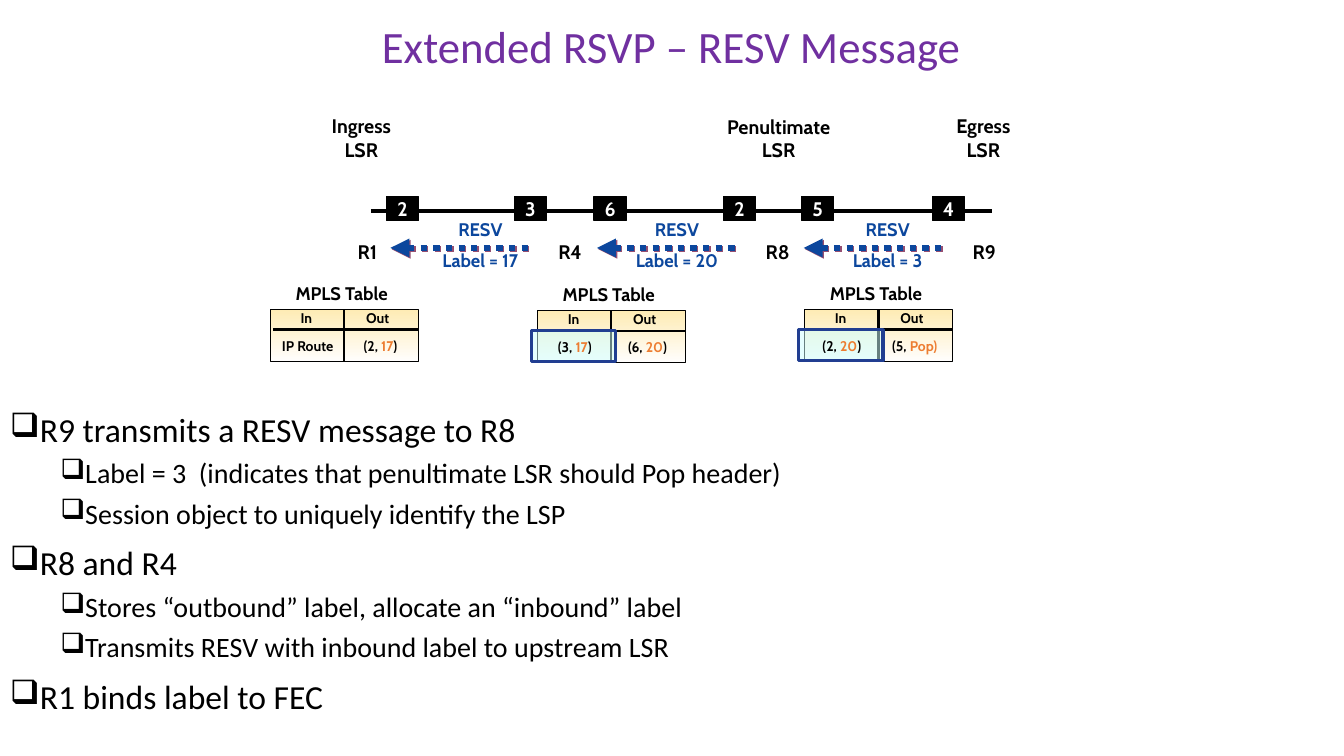
from dataclasses import dataclass

from lxml.etree import SubElement
from pptx import Presentation
from pptx.dml.color import RGBColor
from pptx.enum.dml import MSO_LINE
from pptx.enum.shapes import MSO_CONNECTOR, MSO_SHAPE
from pptx.enum.text import MSO_ANCHOR, MSO_AUTO_SIZE, PP_ALIGN
from pptx.oxml.ns import qn
from pptx.util import Pt

BLACK, WHITE, BLUE, ORANGE = "000000", "FFFFFF", "0C479D", "ED7D31"
Part = tuple[str, str]  # text, colour


@dataclass
class Label:
    lines: list[str]
    mid: float
    top: float
    width: float


@dataclass
class Hop:
    ports: tuple[str, str]
    tag: str
    mid: float


@dataclass
class Table:
    top: float
    left: list[Part]
    right: list[Part]
    marked: bool


ROLES = [
    Label(["Ingress", "LSR"], 258.1, 77.8, 68.4),
    Label(["Penultimate", "LSR"], 556.2, 78.5, 101.5),
    Label(["Egress", "LSR"], 702.4, 77.8, 61.2),
]
NODES = [("R1", 262.4), ("R4", 407.2), ("R8", 555.5), ("R9", 703.1)]
HOPS = [
    Hop(("2", "3"), "Label = 17", 343.1),
    Hop(("6", "2"), "Label = 20", 483.5),
    Hop(("5", "4"), "Label = 3", 634),
]
TABLES = [
    Table(221, [("IP Route", BLACK)],
          [("(2,", BLACK), (" 17", ORANGE), (")", BLACK)], False),
    Table(221.8, [("(3, ", BLACK), ("17", ORANGE), (")", BLACK)],
          [("(6,", BLACK), (" 20", ORANGE), (")", BLACK)], True),
    Table(221, [("(2, ", BLACK), ("20", ORANGE), (")", BLACK)],
          [("(5,", BLACK), (" Pop)", ORANGE)], True),
]
POINTS = [
    (0, "R9 transmits a RESV message to R8"),
    (1, "Label = 3  (indicates that penultimate LSR should Pop header)"),
    (1, "Session object to uniquely identify the LSP"),
    (0, "R8 and R4"),
    (1, "Stores “outbound” label, allocate an “inbound” label"),
    (1, "Transmits RESV with inbound label to upstream LSR"),
    (0, "R1 binds label to FEC"),
]

deck = Presentation()
deck.slide_width, deck.slide_height = Pt(960), Pt(540)
slide = deck.slides.add_slide(deck.slide_layouts[6])
shapes = slide.shapes


def rgb(code: str) -> RGBColor:
    return RGBColor.from_string(code)


def style(font, size: float, face: str = "Cabin", bold: bool = True) -> None:
    font.size, font.name, font.bold = Pt(size), face, bold


def frame(x: float, y: float, w: float, h: float, wrap: bool = True):
    text = shapes.add_textbox(Pt(x), Pt(y), Pt(w), Pt(h)).text_frame
    text.word_wrap = wrap
    return text


def label(rows: list[list[Part]], mid: float, top: float, width: float,
          size: float, gap: float = 0) -> None:
    high = len(rows) * size * 1.2 + 7.2 + gap
    text = frame(mid - width / 2, top, width, high, wrap=False)
    text.auto_size = MSO_AUTO_SIZE.SHAPE_TO_FIT_TEXT
    for i, parts in enumerate(rows):
        para = text.add_paragraph() if i else text.paragraphs[0]
        para.alignment = PP_ALIGN.CENTER
        if i and gap:
            para.space_before = Pt(gap)
        style(para.font, size)
        if len(parts) == 1:
            para.font.color.rgb = rgb(parts[0][1])
        for words, tint in parts:
            run = para.add_run()
            run.text = words
            if len(parts) > 1:
                run.font.color.rgb = rgb(tint)


def box(x: float, y: float, w: float, h: float, edge: str, weight: float):
    shape = shapes.add_shape(MSO_SHAPE.RECTANGLE, Pt(x), Pt(y), Pt(w), Pt(h))
    shape.shadow.inherit = False
    shape.line.color.rgb = rgb(edge)
    shape.line.width = Pt(weight)
    return shape


def line(x1: float, y1: float, x2: float, y2: float, weight: float,
         tint: str = BLACK):
    link = shapes.add_connector(MSO_CONNECTOR.STRAIGHT,
                                Pt(x1), Pt(y1), Pt(x2), Pt(y2))
    link.line.color.rgb = rgb(tint)
    link.line.width = Pt(weight)
    fx = SubElement(link._element.spPr, qn("a:effectLst"))
    return link, fx


def port(digit: str, x: float) -> None:
    shape = box(x, 140.4, 23, 17.3, BLACK, 0.75)
    shape.fill.solid()
    shape.fill.fore_color.rgb = rgb(BLACK)
    text = shape.text_frame
    text.margin_left = text.margin_right = Pt(0)
    text.margin_top = text.margin_bottom = Pt(0)
    text.vertical_anchor = MSO_ANCHOR.MIDDLE
    para = text.paragraphs[0]
    para.text = digit
    para.alignment = PP_ALIGN.CENTER
    style(para.font, 14)
    para.font.color.rgb = rgb(WHITE)


def arrow(x: float) -> None:
    link, fx = line(x, 177.1, x + 101, 177.1, 4.5, BLUE)
    link.line.dash_style = MSO_LINE.ROUND_DOT
    SubElement(link.line._get_or_add_ln(), qn("a:headEnd"), type="triangle")
    shade = SubElement(fx, qn("a:outerShdw"), dist=str(Pt(1.4)), dir="2700000")
    SubElement(shade, qn("a:srgbClr"), val="954F72")


def table(item: Table, x: float) -> None:
    y = item.top
    grid = box(x, y, 105.8, 37.4, BLACK, 0.75)
    grid.fill.gradient()
    grid.fill.gradient_angle = 270
    for stop, tint, place in zip(grid.fill.gradient_stops,
                                 ("FEEBB4", "FFFEFD"), (0, 1)):
        stop.color.rgb, stop.position = rgb(tint), place
    label([[("MPLS Table", BLACK)]], x + 51, y - 23, 90, 13)
    line(x + 105.8, y + 14.4, x + 2.2, y + 14.4, 1.5)
    split, _ = line(x + 52.9, y, x + 52.9, y + 37.4, 1.5)
    split.begin_connect(grid, 0)
    split.end_connect(grid, 2)
    label([[("In", BLACK)]], x + 25.9, y - 3.6, 26, 10)
    label([[("Out", BLACK)]], x + 76.7, y - 3.6, 32.4, 10)
    if item.marked:
        mark = box(x - 4.3, y + 14.4, 60.5, 22.3, "213E91", 2.25)
        mark.fill.solid()
        mark.fill.fore_color.rgb = rgb("CCFFFF")
        hue = mark._element.spPr.find(qn("a:solidFill")).find(qn("a:srgbClr"))
        SubElement(hue, qn("a:alpha"), val="50000")
    label([item.left], x + 26.7, y + 16.6, 49 if item.marked else 59, 10)
    label([item.right], x + 78.7, y + 16.6, 49, 10)


# Title
head = frame(65.5, -1.4, 828, 73.4)
head.vertical_anchor = MSO_ANCHOR.MIDDLE
name = head.paragraphs[0]
name.text = "Extended RSVP – RESV Message"
name.alignment, name.line_spacing = PP_ALIGN.CENTER, 0.9
style(name.font, 32, "Calibri", False)
name.font.color.rgb = rgb("7030A0")

# Path with its routers and hops
line(265, 150.5, 708.5, 150.5, 3)
for role in ROLES:
    label([[(row, BLACK)] for row in role.lines],
          role.mid, role.top, role.width, 14)
for node, mid in NODES:
    label([[(node, BLACK)]], mid, 167.8, 33.8, 14)
for i, hop in enumerate(HOPS):
    port(hop.ports[0], 276 + 148.3 * i)
    port(hop.ports[1], 367.4 + 149.3 * i)
    arrow(278.9 + 147.6 * i)
    label([[("RESV", BLUE)], [(hop.tag, BLUE)]], hop.mid, 152.6, 87, 13, 6.5)

# Label tables
for i, item in enumerate(TABLES):
    table(item, 193 + 190.8 * i)

# Bullets
body = frame(0, 291.6, 945.4, 230)
for i, (level, words) in enumerate(POINTS):
    para = body.add_paragraph() if i else body.paragraphs[0]
    para.text = words
    para.level, para.line_spacing = level, 0.9
    para.alignment = PP_ALIGN.LEFT
    para.space_after = Pt(2 if level else 2.4)
    if i:
        para.space_before = Pt(5 if level else 10)
    props = para._p.get_or_add_pPr()
    props.set("marL", str(Pt(36 * level)))
    props.set("indent", "0")
    SubElement(props, qn("a:buChar"), char="❑")
    style(para.font, 20 if level else 24, "Calibri", False)
    para.font.color.rgb = rgb(BLACK)

deck.save("out.pptx")
